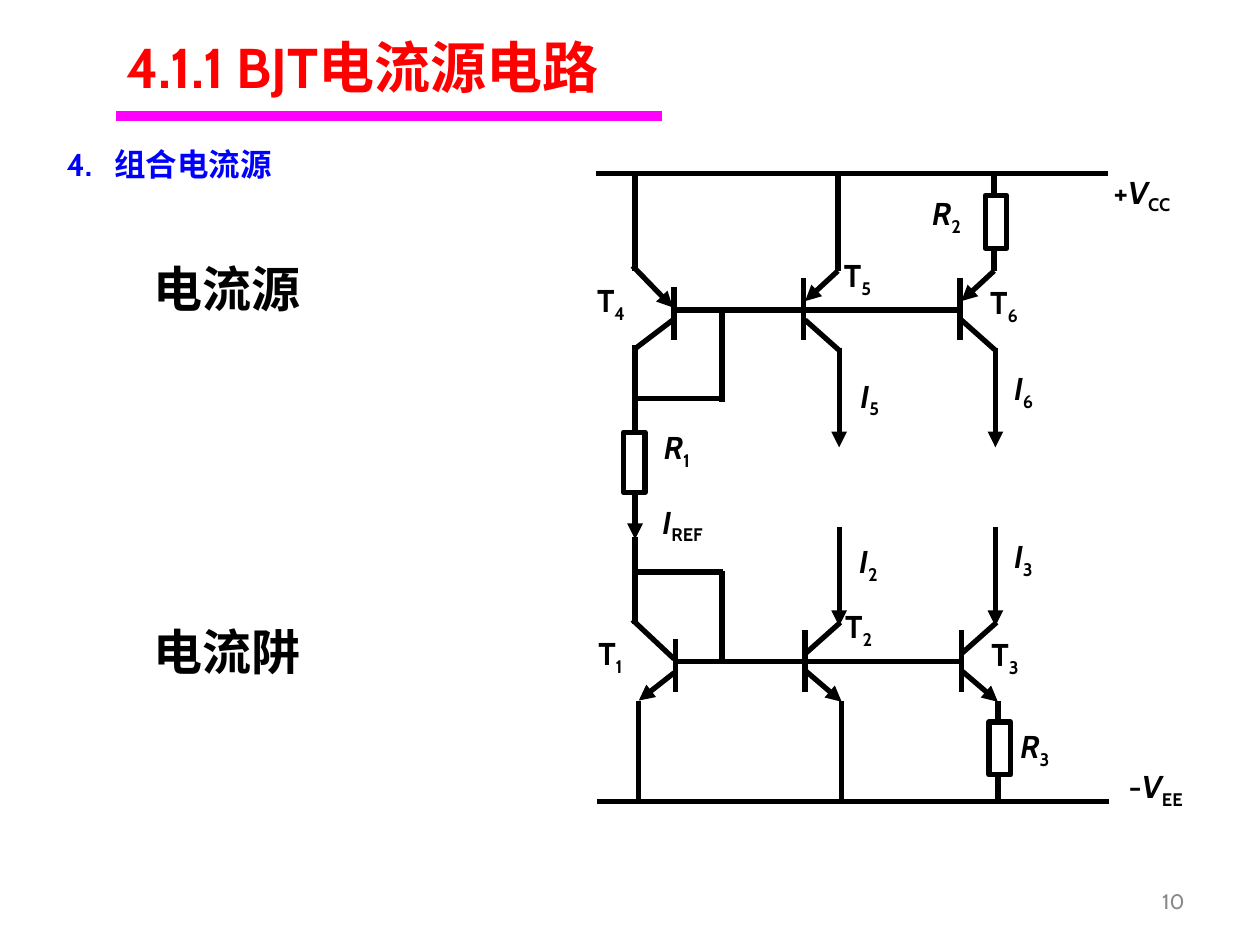
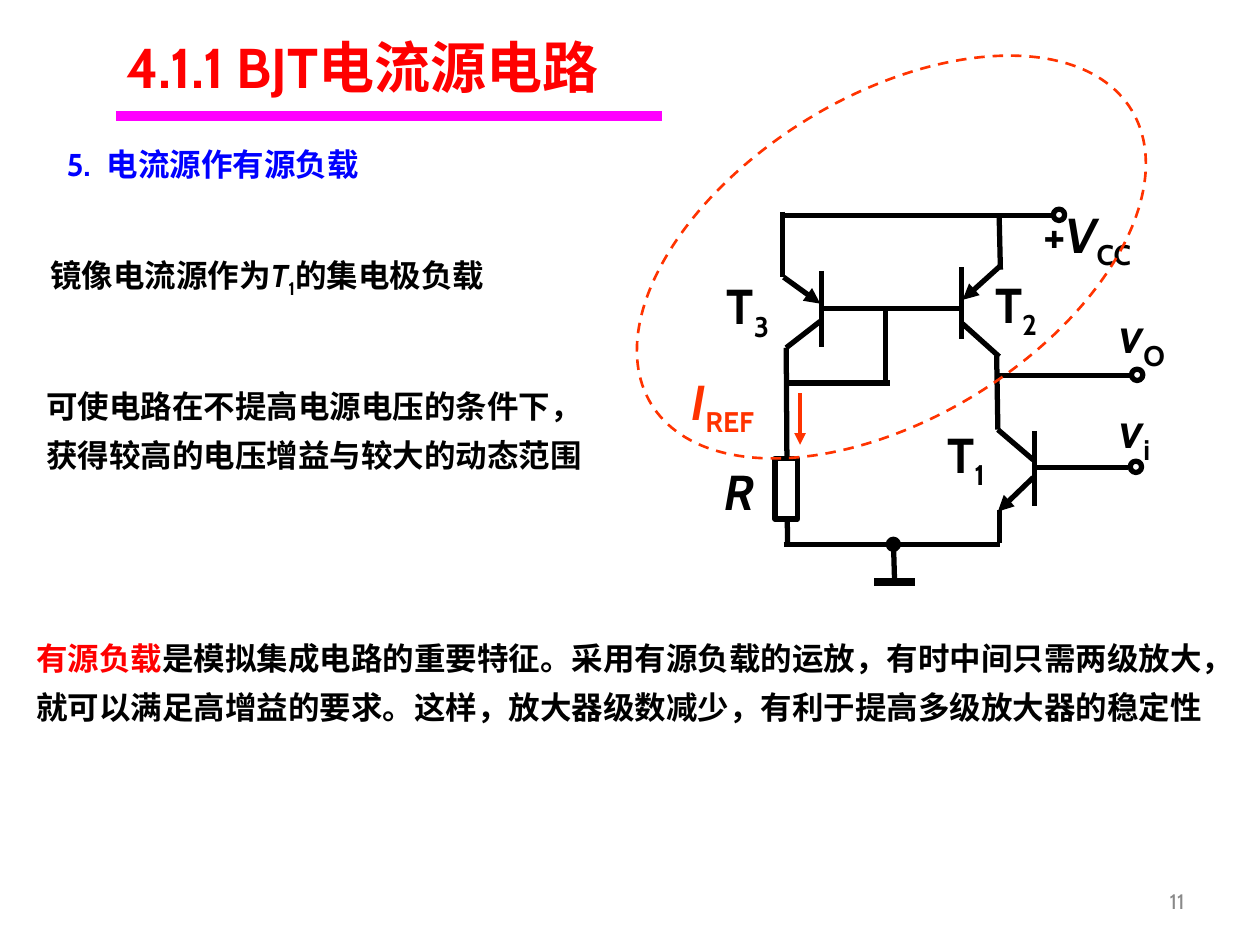
"""Build two slides on BJT current-source circuits."""
from dataclasses import dataclass

from lxml import etree
from pptx import Presentation
from pptx.dml.color import RGBColor
from pptx.enum.dml import MSO_LINE
from pptx.enum.shapes import MSO_CONNECTOR, MSO_SHAPE
from pptx.enum.text import MSO_ANCHOR, PP_ALIGN
from pptx.oxml.ns import qn
from pptx.util import Cm, Pt

STRAIGHT = MSO_CONNECTOR.STRAIGHT
RECTANGLE, OVAL = MSO_SHAPE.RECTANGLE, MSO_SHAPE.OVAL
DASH = MSO_LINE.DASH
TOP, MIDDLE = MSO_ANCHOR.TOP, MSO_ANCHOR.MIDDLE
LEFT, RIGHT = PP_ALIGN.LEFT, PP_ALIGN.RIGHT
TITLE_ONLY = 5
CM_PER_INCH = 2.54


@dataclass(frozen=True)
class Theme:
    """Colours, font and type sizes of the deck."""
    font: str = "Cabin"
    black: RGBColor = RGBColor(0, 0, 0)
    white: RGBColor = RGBColor(255, 255, 255)
    red: RGBColor = RGBColor(255, 0, 0)
    blue: RGBColor = RGBColor(0, 0, 255)
    magenta: RGBColor = RGBColor(255, 0, 255)
    orange: RGBColor = RGBColor(255, 51, 0)
    gray: RGBColor = RGBColor(0x89, 0x89, 0x89)
    title: int = 32
    large: int = 28
    body: int = 18
    footer: int = 12
    wire: float = 3


THEME = Theme()


def cm(*inches):
    """Turn inch measures into Cm lengths."""
    return [Cm(value * CM_PER_INCH) for value in inches]


def apply(target, values):
    """Set each attribute of a target from a dict."""
    for name, value in values.items():
        setattr(target, name, value)


def write(frame, runs, size=THEME.body, color=THEME.black, bold=True,
          anchor=TOP, tab=None, **paragraph_format):
    """Write styled runs, given as (text, styles) pairs, into one paragraph."""
    apply(frame, {"word_wrap": True, "vertical_anchor": anchor})
    paragraph = frame.paragraphs[0]
    if tab:
        tabs = etree.SubElement(paragraph._p.get_or_add_pPr(), qn("a:tabLst"))
        etree.SubElement(tabs, qn("a:tab"), pos=str(cm(tab)[0]), algn="l")
    apply(paragraph, paragraph_format)
    for text, styles in runs:
        run = paragraph.add_run()
        run.text = text
        apply(run.font, {"name": THEME.font, "size": Pt(size), "bold": bold,
                         "italic": styles.get("italic", False)})
        run.font.color.rgb = styles.get("color", color)
        if styles.get("subscript"):
            run._r.get_or_add_rPr().set("baseline", "-25000")


def add_text(slide, box, runs, **text_format):
    """Add a text box."""
    write(slide.shapes.add_textbox(*cm(*box)).text_frame, runs, **text_format)


def add_symbol(slide, left, top, parts, size=THEME.body, color=THEME.black):
    """Add a circuit label from upright, italic and subscript parts."""
    styles = {}, {"italic": True}, {"subscript": True}
    runs = [(text, style) for text, style in zip(parts, styles) if text]
    height = 0.5 if size == THEME.body else 0.57
    add_text(slide, (left, top, 1.2, height), runs, size=size, color=color,
             anchor=MIDDLE)


def add_wire(slide, start, end, arrow=False, color=THEME.black, width=THEME.wire):
    """Add a straight line, with an arrowhead at its end if asked."""
    wire = slide.shapes.add_connector(STRAIGHT, *cm(*start, *end))
    wire.line.color.rgb = color
    wire.line.width = Pt(width)
    if arrow:
        etree.SubElement(wire.line._get_or_add_ln(), qn("a:tailEnd"), type="triangle")
    etree.SubElement(wire._element.spPr, qn("a:effectLst"))


def add_outline(slide, kind, box, fill=None, color=THEME.black, width=THEME.wire):
    """Add a preset shape with an outline and an optional fill."""
    shape = slide.shapes.add_shape(kind, *cm(*box))
    shape.shadow.inherit = False
    if fill is None:
        shape.fill.background()
    else:
        shape.fill.solid()
        shape.fill.fore_color.rgb = fill
    shape.line.color.rgb = color
    shape.line.width = Pt(width)
    return shape


def add_transistor(slide, bar, upper, lower, npn):
    """Add a transistor; each lead is (tip x, tip y, y where it meets the bar)."""
    x, bar_top, bar_bottom = bar
    add_wire(slide, (x, bar_top), (x, bar_bottom))
    root_x = x + (0.01 if upper[0] > x else -0.01)
    add_wire(slide, upper[:2], (root_x, upper[2]), arrow=not npn)
    add_wire(slide, (root_x, lower[2]), lower[:2], arrow=npn)


def add_wires(slide, routes, arrow=False):
    """Add several plain wires or arrows."""
    for start, end in routes:
        add_wire(slide, start, end, arrow)


def start_slide(deck, number, heading, tab, page):
    """Add a slide with the shared title, rule, heading and page number."""
    slide = deck.slides.add_slide(deck.slide_layouts[TITLE_ONLY])
    title = slide.shapes.title
    apply(title, dict(zip(("left", "top", "width", "height"),
                          cm(0.9, 0.21, 5.34, 0.63))))
    write(title.text_frame, [("4.1.1 BJT电流源电路", {})], size=THEME.title,
          color=THEME.red, alignment=LEFT)
    add_wire(slide, (0.92, 0.92), (5.25, 0.92), color=THEME.magenta, width=6)
    add_text(slide, (0.43, 1.04, 7.72, 0.58), [(f"{number}.\t{heading}", {})],
             color=THEME.blue, tab=tab, line_spacing=1.2)
    add_text(slide, (7.17, 6.95, 2.33, 0.4), [(str(page), {})], bold=False,
             size=THEME.footer, color=THEME.gray, anchor=MIDDLE, alignment=RIGHT)
    return slide


def build_combined_sources(deck):
    """Build the slide with the combined source and sink circuit."""
    slide = start_slide(deck, 4, "组合电流源", 0.38, 10)
    for top, caption in ((2, "电流源"), (4.88, "电流阱")):
        add_text(slide, (1.12, top, 1.54, 0.57), [(caption, {})], size=THEME.large)

    add_wires(slide, [
        ((4.73, 1.38), (8.79, 1.38)), ((4.74, 6.36), (8.8, 6.36)),
        ((5.36, 2.46), (7.6, 2.46)), ((5.37, 5.25), (7.61, 5.25)),
        ((5.04, 1.37), (5.04, 2.15)), ((5.04, 4.26), (5.04, 4.95)),
        ((5.07, 5.56), (5.07, 6.35)),
        ((5.03, 3.16), (5.75, 3.16)), ((5.73, 2.46), (5.73, 3.19)),
        ((5.03, 4.54), (5.74, 4.54)), ((5.73, 4.53), (5.73, 5.26))])
    add_wire(slide, (5.04, 2.74), (5.04, 4.28), arrow=True)
    add_transistor(slide, (5.35, 2.28, 2.7), (5.02, 2.11, 2.44),
                   (5.05, 2.76, 2.54), npn=False)
    add_transistor(slide, (5.36, 5.07, 5.49), (5.02, 4.92, 5.23),
                   (5.07, 5.56, 5.34), npn=True)

    for source_x in (6.38, 7.62):
        output_x, sink_x = source_x + 0.27, source_x + 0.01
        add_transistor(slide, (source_x, 2.21, 2.7), (output_x, 2.15, 2.39),
                       (output_x + 0.01, 2.78, 2.54), npn=False)
        add_transistor(slide, (sink_x, 5, 5.49), (output_x + 0.02, 4.94, 5.18),
                       (output_x + 0.03, 5.57, 5.33), npn=True)
        add_wires(slide, [((output_x, 1.37), (output_x, 2.15)),
                          ((output_x + 0.03, 5.56), (output_x + 0.03, 6.35))])
        add_wires(slide, [((output_x + 0.01, y), (output_x + 0.01, y + 0.79))
                          for y in (2.76, 4.18)], arrow=True)

    for resistor in ((4.95, 3.43, 0.17, 0.48), (7.82, 1.55, 0.17, 0.42),
                     (7.85, 5.73, 0.17, 0.42)):
        add_outline(slide, RECTANGLE, resistor, THEME.white)

    for left, top, *parts in (
            (8.74, 1.29, "+", "V", "CC"), (8.86, 6.01, "-", "V", "EE"),
            (4.65, 4.95, "T", "", "1"), (6.61, 4.74, "T", "", "2"),
            (7.77, 4.96, "T", "", "3"), (4.64, 2.15, "T", "", "4"),
            (6.6, 1.95, "T", "", "5"), (7.76, 2.17, "T", "", "6"),
            (5.17, 3.32, "", "R", "1"), (7.3, 1.46, "", "R", "2"),
            (8, 5.69, "", "R", "3"), (5.16, 3.91, "", "I", "REF"),
            (6.72, 4.22, "", "I", "2"), (7.95, 4.18, "", "I", "3"),
            (6.73, 2.91, "", "I", "5"), (7.95, 2.85, "", "I", "6")):
        add_symbol(slide, left, top, parts)


def build_active_load(deck):
    """Build the slide with a current source as active load."""
    slide = start_slide(deck, 5, "电流源作有源负载", 0.32, 11)
    add_wires(slide, [
        ((6.2, 1.71), (8.36, 1.71)), ((6.21, 1.68), (6.21, 2.2)),
        ((7.93, 1.72), (7.94, 2.14)), ((6.51, 2.45), (7.61, 2.45)),
        ((7.03, 2.47), (7.03, 3.06)), ((6.26, 3.04), (7.06, 3.04)),
        ((6.24, 2.76), (6.25, 4.34)), ((6.22, 4.32), (7.94, 4.32)),
        ((7.91, 2.82), (7.92, 3.41)), ((7.9, 2.98), (9, 2.98)),
        ((8.22, 3.71), (8.95, 3.71)), ((7.93, 4.05), (7.93, 4.31)),
        ((7.09, 4.27), (7.1, 4.62))])
    add_wire(slide, (6.94, 4.62), (7.26, 4.62), width=4.5)
    add_transistor(slide, (6.52, 2.15, 2.75), (6.22, 2.2, 2.41),
                   (6.24, 2.76, 2.55), npn=False)
    add_transistor(slide, (7.63, 2.12, 2.69), (7.94, 2.11, 2.38),
                   (7.93, 2.83, 2.57), npn=False)
    add_transistor(slide, (8.21, 3.42, 4.02), (7.92, 3.41, 3.65),
                   (7.92, 4.06, 3.79), npn=True)
    add_outline(slide, RECTANGLE, (6.15, 3.64, 0.18, 0.48), THEME.white)
    add_outline(slide, OVAL, (7.05, 4.28, 0.08, 0.08), THEME.black)
    for left, top in ((8.36, 1.66), (8.98, 2.93), (8.97, 3.66)):
        add_outline(slide, OVAL, (left, top, 0.09, 0.09))

    for left, top, *parts in (
            (8.18, 1.6, "+", "V", "CC"), (7.8, 2.16, "T", "", "2"),
            (5.67, 2.17, "T", "", "3"), (7.42, 3.35, "T", "", "1"),
            (5.65, 3.61, "", "R", ""), (8.79, 2.4, "", "v", "O"),
            (8.79, 3.15, "", "v", "i")):
        add_symbol(slide, left, top, parts, THEME.large)
    add_symbol(slide, 5.39, 2.93, ("", "I", "REF"), THEME.large, THEME.orange)
    add_wire(slide, (6.35, 3.12), (6.35, 3.53), True, THEME.orange, 2.25)

    add_text(slide, (0.3, 1.98, 5.11, 0.5), [
        ("镜像电流源作为", {}), ("T", {"italic": True}),
        ("1", {"subscript": True}), ("的集电极负载", {})])
    add_text(slide, (0.27, 2.93, 4.62, 1.66), [
        ("可使电路在不提高电源电压的条件下，获得较高的电压增益与较大的动态范围", {})],
        line_spacing=1.3)
    add_text(slide, (0.19, 4.93, 9.81, 1.66), [
        ("有源负载", {"color": THEME.red}),
        ("是模拟集成电路的重要特征。采用有源负载的运放，有时中间只需两级放大，"
         "就可以满足高增益的要求。这样，放大器级数减少，有利于提高多级放大器的稳定性", {})],
        line_spacing=1.3)
    mirror_loop = add_outline(slide, OVAL, (4.84, 0.76, 4.47, 2.56),
                              color=THEME.orange, width=1.5)
    mirror_loop.rotation = 328.5
    mirror_loop.line.dash_style = DASH


def main():
    """Build and save the deck."""
    deck = Presentation()
    deck.slide_width, deck.slide_height = cm(10, 7.5)
    build_combined_sources(deck)
    build_active_load(deck)
    deck.save("out.pptx")


if __name__ == "__main__":
    main()
